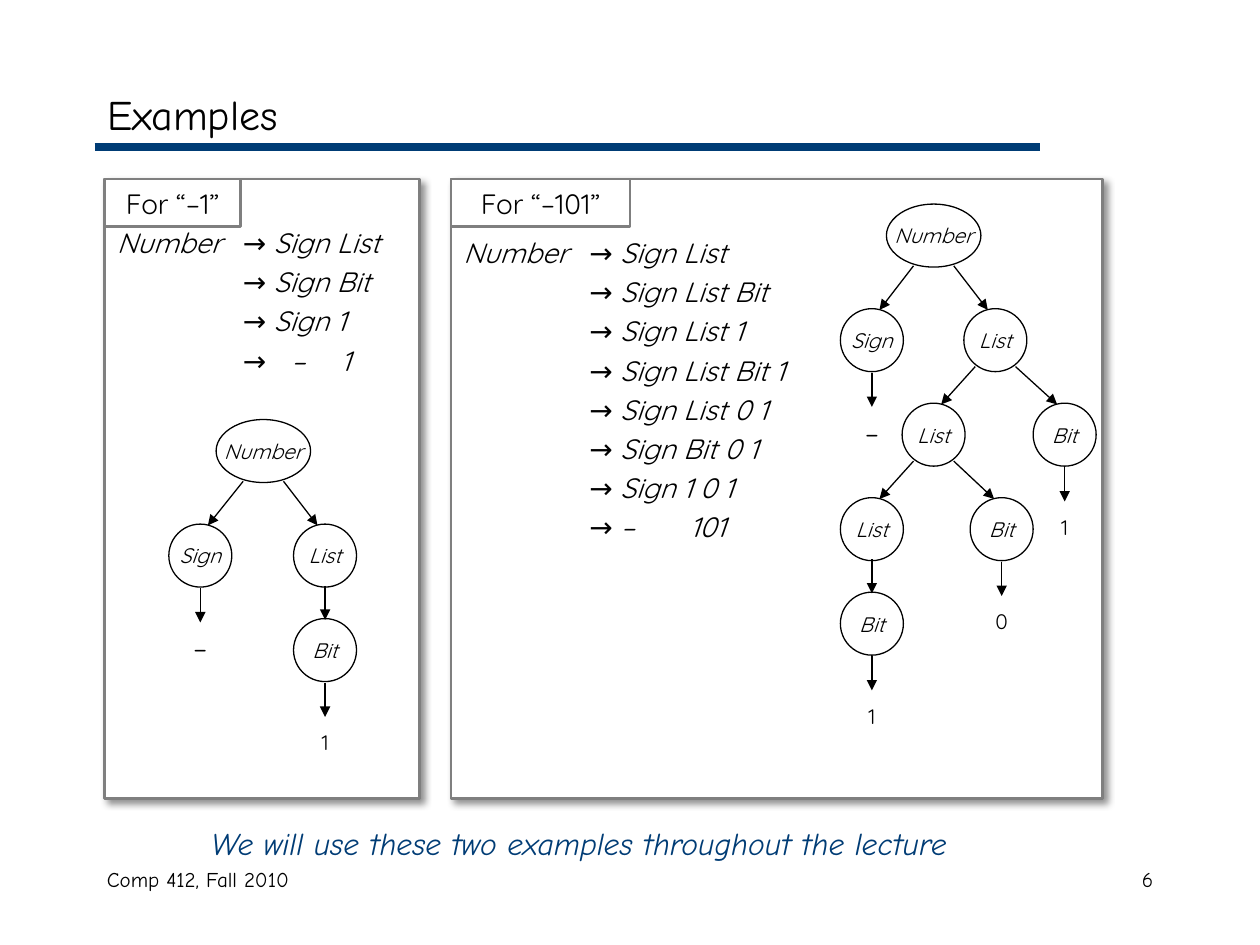
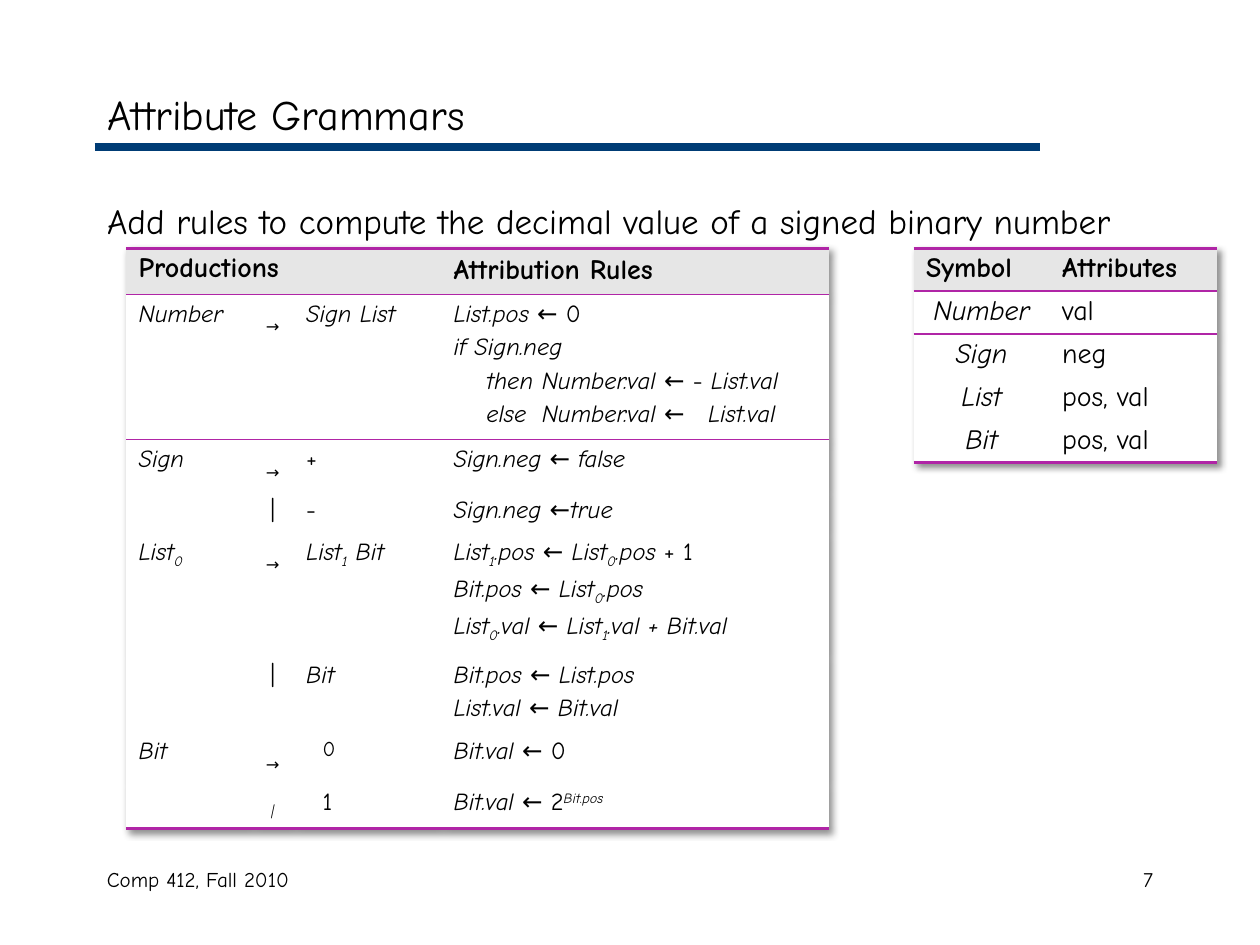
import pptx
import pptx.util
import pptx.dml.color
import pptx.enum.shapes
import pptx.enum.text
import pptx.oxml.ns
from lxml import etree

Inches = pptx.util.Inches
Pt = pptx.util.Pt
SHAPE = pptx.enum.shapes.MSO_SHAPE
ALIGN = pptx.enum.text.PP_ALIGN
ANCHOR = pptx.enum.text.MSO_ANCHOR
qn = pptx.oxml.ns.qn

# ---- Content ----
COLORS = {"ink": "000000", "navy": "003C75", "grey": "7F7F7F", "white": "FFFFFF",
          "header": "E6E6E6", "purple": "B025A6"}
PROSE, FORMAL = "Comic Neue", "Quicksand"
COURSE = "Comp 412, Fall 2010"
NO_STYLE = "{2D5ABB26-0587-4C30-8999-92F81FD0307C}"

# Tree nodes are (symbol, centre x, children); a plain string is a terminal.
EXAMPLES = [
    {"tag": "For “–1”", "left": 0.83, "width": 2.5, "tag_width": 1.08,
     "steps_top": 1.74, "steps_width": 2.5, "tabs": [1, 1.38, 1.78],
     "steps": ["Number\t→ Sign List", "\t→ Sign Bit", "\t→ Sign 1", "\t→\t–\t1"],
     "root_y": 3.58,
     "tree": ("Number", 2.09, [
         ("Sign", 1.59, ["–"]),
         ("List", 2.58, [("Bit", 2.58, ["1"])])])},
    {"tag": "For “–101”", "left": 3.58, "width": 5.17, "tag_width": 1.42,
     "steps_top": 1.82, "steps_width": 3, "tabs": [1, 1.8],
     "steps": ["Number\t→ Sign List", "\t→ Sign List Bit", "\t→ Sign List 1",
               "\t→ Sign List Bit 1", "\t→ Sign List 0 1", "\t→ Sign Bit 0 1",
               "\t→ Sign 1 0 1", "\t→ –\t101"],
     "root_y": 1.87,
     "tree": ("Number", 7.41, [
         ("Sign", 6.92, ["–"]),
         ("List", 7.9, [
             ("List", 7.41, [
                 ("List", 6.92, [("Bit", 6.92, ["1"])]),
                 ("Bit", 7.95, ["0"])]),
             ("Bit", 8.45, ["1"])])])},
]
CAPTION = "We will use these two examples throughout the lecture"

# Markup in text: [roman], {subscript}, <superscript>
RULES_HEADER = ["Productions", "", "", "Attribution Rules"]
RULES = [  # row height, symbol, arrow, right side, attribution rules
    (1.11, "Number", "{→}", "Sign List",
     ["List.pos [← 0]", "if Sign.neg", "\tthen\tNumber.val [← -] List.val",
      "\telse\tNumber.val [←]\tList.val"]),
    (0.39, "Sign", "{→}", "[+]", ["Sign.neg [← ]false"]),
    (0.33, "", "[|]", "[-]", ["Sign.neg [←]true"]),
    (0.93, "List{0}", "{→}", "List{1} Bit",
     ["List{1}.pos [← ]List{0}.pos [+ 1]", "Bit.pos [← ]List{0}.pos",
      "List{0}.val [← ]List{1}.val + Bit.val"]),
    (0.59, "", "[|]", "Bit", ["Bit.pos [← ]List.pos", "List.val [← ]Bit.val"]),
    (0.39, "Bit", "{→}", "[0]", ["Bit.val [← 0]"]),
    (0.34, "", "{|}", "[1]", ["Bit.val [← 2]<Bit.pos>"]),
]
ATTRIBUTES_HEADER = ["Symbol", "Attributes"]
ATTRIBUTES = [("Number", "val"), ("Sign", "neg"), ("List", "pos, val"), ("Bit", "pos, val")]


# ---- Text ----
def rgb(name):
    return pptx.dml.color.RGBColor.from_string(COLORS[name])


def split_markup(text):
    """Yield (mark, piece) pairs; the mark is empty for ordinary text."""
    mark, piece = "", ""
    for char in text:
        if char in "[]{}<>":
            if piece:
                yield mark, piece
            mark, piece = (char if char in "[{<" else ""), ""
        else:
            piece += char
    if piece:
        yield mark, piece


def write(frame, lines, size=16, font=PROSE, color="ink", bold=False, italic=False,
          align=ALIGN.LEFT, before=0, spacing=None, tabs=(), indent=None):
    for index, line in enumerate([lines] if isinstance(lines, str) else lines):
        paragraph = frame.add_paragraph() if index else frame.paragraphs[0]
        props = paragraph._p.get_or_add_pPr()
        if indent is not None:
            props.set("marL", str(Inches(indent)))
            props.set("indent", "0")
            etree.SubElement(props, qn("a:buNone"))
        if tabs:
            stops = etree.SubElement(props, qn("a:tabLst"))
            for stop in tabs:
                etree.SubElement(stops, qn("a:tab"), pos=str(Inches(stop)), algn="l")
        paragraph.alignment = align
        paragraph.space_before = Pt(before if index else 0)
        if spacing:
            paragraph.line_spacing = spacing
        paragraph.font.size = Pt(size)
        for mark, piece in split_markup(line):
            run = paragraph.add_run()
            run.text = piece
            run.font.name, run.font.size, run.font.bold = font, Pt(size), bold
            run.font.italic = italic and mark != "["
            run.font.color.rgb = rgb(color)
            if mark in ("{", "<"):
                run._r.get_or_add_rPr().set("baseline", "-25000" if mark == "{" else "30000")


def add_text(slide, box, lines, anchor=ANCHOR.TOP, **style):
    frame = slide.shapes.add_textbox(*map(Inches, box)).text_frame
    frame.word_wrap = True
    frame.vertical_anchor = anchor
    write(frame, lines, **style)


def fill_placeholder(placeholder, box, lines, anchor, **style):
    placeholder.left, placeholder.top, placeholder.width, placeholder.height = map(Inches, box)
    frame = placeholder.text_frame
    frame.auto_size = pptx.enum.text.MSO_AUTO_SIZE.NONE
    frame.vertical_anchor = anchor
    write(frame, lines, **style)


# ---- Shapes ----
def cast_shadow(effects):
    shadow = etree.SubElement(effects, qn("a:outerShdw"), blurRad=str(Pt(4)),
                              dist=str(Pt(3)), dir="2700000", algn="tl", rotWithShape="0")
    tint = etree.SubElement(shadow, qn("a:srgbClr"), val=COLORS["ink"])
    etree.SubElement(tint, qn("a:alpha"), val="43000")


def add_outline(slide, kind, box, line="ink", width=0.75, fill=None):
    shape = slide.shapes.add_shape(kind, *map(Inches, box))
    shape.shadow.inherit = False
    shape.line.color.rgb, shape.line.width = rgb(line), Pt(width)
    if fill:
        shape.fill.solid()
        shape.fill.fore_color.rgb = rgb(fill)
    else:
        shape.fill.background()
    shape.text_frame.vertical_anchor = ANCHOR.MIDDLE
    return shape


def add_line(slide, start, end, color="ink", width=0.75, arrow=True):
    line = slide.shapes.add_connector(pptx.enum.shapes.MSO_CONNECTOR.STRAIGHT,
                                      *map(Inches, start + end))
    line.line.color.rgb, line.line.width = rgb(color), Pt(width)
    if arrow:
        etree.SubElement(line.line._get_or_add_ln(), qn("a:tailEnd"), type="triangle")
    etree.SubElement(line._element.spPr, qn("a:effectLst"))


def add_node(slide, node, y, level=0):
    symbol, x, children = node
    width = 0.75 if level == 0 else 0.5
    oval = add_outline(slide, SHAPE.OVAL, (x - width / 2, y - 0.25, width, 0.5))
    oval.text_frame.word_wrap = False
    write(oval.text_frame, symbol, size=12, font=FORMAL, italic=True, align=ALIGN.CENTER)
    child_y = y + (0.75 if level else 0.83)
    for child in children:
        if isinstance(child, str):
            add_line(slide, (x, y + 0.26), (x, y + 0.53))
            add_text(slide, (x - 0.25, y + 0.53, 0.5, 0.4), child, ANCHOR.MIDDLE,
                     size=16 if child == "–" else 12, font=FORMAL, align=ALIGN.CENTER)
            continue
        child_x = child[1]
        side = (child_x > x) - (child_x < x)
        drop = 0.21 if side and level else 0.24
        add_line(slide, (x + 0.16 * side, y + drop), (child_x - 0.06 * side, child_y - 0.24))
        add_node(slide, child, child_y, level + 1)


# ---- Tables ----
def add_table(slide, left, top, widths, heights):
    table = slide.shapes.add_table(len(heights), len(widths), Inches(left), Inches(top),
                                   Inches(sum(widths)), Inches(sum(heights))).table
    table.first_row = table.horz_banding = False
    props = table._tbl.tblPr
    props.find(qn("a:tableStyleId")).text = NO_STYLE
    effects = etree.Element(qn("a:effectLst"))
    props.insert(0, effects)
    cast_shadow(effects)
    for column, width in zip(table.columns, widths):
        column.width = Inches(width)
    last = len(heights) - 1
    for index, height in enumerate(heights):
        table.rows[index].height = Inches(height)
        edges = {0: {"lnT": 2.25, "lnB": 1}, 1: {"lnT": 1}, last: {"lnB": 2.25}}.get(index, {})
        for cell in table.rows[index].cells:
            for side, weight in edges.items():
                border = etree.SubElement(cell._tc.get_or_add_tcPr(), qn("a:" + side),
                                          w=str(Pt(weight)))
                paint = etree.SubElement(border, qn("a:solidFill"))
                etree.SubElement(paint, qn("a:srgbClr"), val=COLORS["purple"])
            cell.fill.solid()
            cell.fill.fore_color.rgb = rgb("white" if index else "header")
    return table


# ---- Slides ----
def start_slide(deck, layout, title, number):
    slide = deck.slides.add_slide(deck.slide_layouts[layout])
    add_line(slide, (0.75, 1.17), (8.25, 1.17), color="navy", width=4.5, arrow=False)
    fill_placeholder(slide.shapes.title, (0.75, 0.61, 8.5, 0.58), title, ANCHOR.MIDDLE, size=24)
    add_text(slide, (0.75, 6.83, 3.17, 0.5), COURSE, size=12)
    add_text(slide, (7.17, 6.83, 2.08, 0.5), str(number), size=12, align=ALIGN.RIGHT)
    return slide


def build_examples(deck):
    slide = start_slide(deck, 5, "Examples", 6)
    add_text(slide, (1.58, 6.49, 6.67, 0.4), CAPTION, size=18, color="navy", italic=True)
    for example in EXAMPLES:
        left, top = example["left"], 1.42
        panel = add_outline(slide, SHAPE.RECTANGLE, (left, top, example["width"], 4.92),
                            line="grey", width=1.5, fill="white")
        cast_shadow(panel._element.spPr.find(qn("a:effectLst")))
        add_text(slide, (left, example["steps_top"], example["steps_width"],
                         0.1 + 0.32 * len(example["steps"])),
                 example["steps"], font=FORMAL, italic=True, before=3.2, tabs=example["tabs"])
        add_node(slide, example["tree"], example["root_y"])
        tag = add_outline(slide, SHAPE.RECTANGLE, (left, top, example["tag_width"], 0.38),
                          line="grey", width=1.5)
        write(tag.text_frame, example["tag"], font=FORMAL, align=ALIGN.CENTER)


def build_grammar(deck):
    slide = start_slide(deck, 1, "Attribute Grammars", 7)
    fill_placeholder(slide.placeholders[1], (0.75, 1.53, 8.83, 0.42),
                     "Add rules to compute the decimal value of a signed binary number",
                     ANCHOR.TOP, size=20, indent=0)

    # Symbols and their attributes
    attributes = add_table(slide, 7.25, 1.97, [1.08, 1.33], [0.33] * (len(ATTRIBUTES) + 1))
    for row, texts in enumerate([ATTRIBUTES_HEADER] + ATTRIBUTES):
        for column, text in enumerate(texts):
            is_symbol = row > 0 and column == 0
            write(attributes.cell(row, column).text_frame, text, bold=row == 0, spacing=0.9,
                  italic=is_symbol, align=ALIGN.CENTER if is_symbol else ALIGN.LEFT)

    # Productions and attribution rules
    rules = add_table(slide, 1, 1.97, [1, 0.33, 1.17, 3.08], [0.36] + [rule[0] for rule in RULES])
    rules.cell(0, 0).merge(rules.cell(0, 2))
    for column, heading in enumerate(RULES_HEADER):
        if heading:
            write(rules.cell(0, column).text_frame, heading, bold=True,
                  spacing=None if column else 0.9)
    for row, (_, *texts) in enumerate(RULES, 1):
        for column, text in enumerate(texts):
            is_digit = text in ("[0]", "[1]")
            size = 16 if text == "{→}" else 12 if text == "[0]" else 14
            write(rules.cell(row, column).text_frame, text, size=size, italic=True, before=2.8,
                  align=ALIGN.CENTER if column == 1 else ALIGN.LEFT,
                  indent=0.13 if is_digit else None,
                  tabs=(0.26, 0.7, 2.02) if column == 3 else ())


def main():
    deck = pptx.Presentation()
    deck.slide_width, deck.slide_height = Inches(10), Inches(7.5)
    build_examples(deck)
    build_grammar(deck)
    deck.save("out.pptx")


if __name__ == "__main__":
    main()
